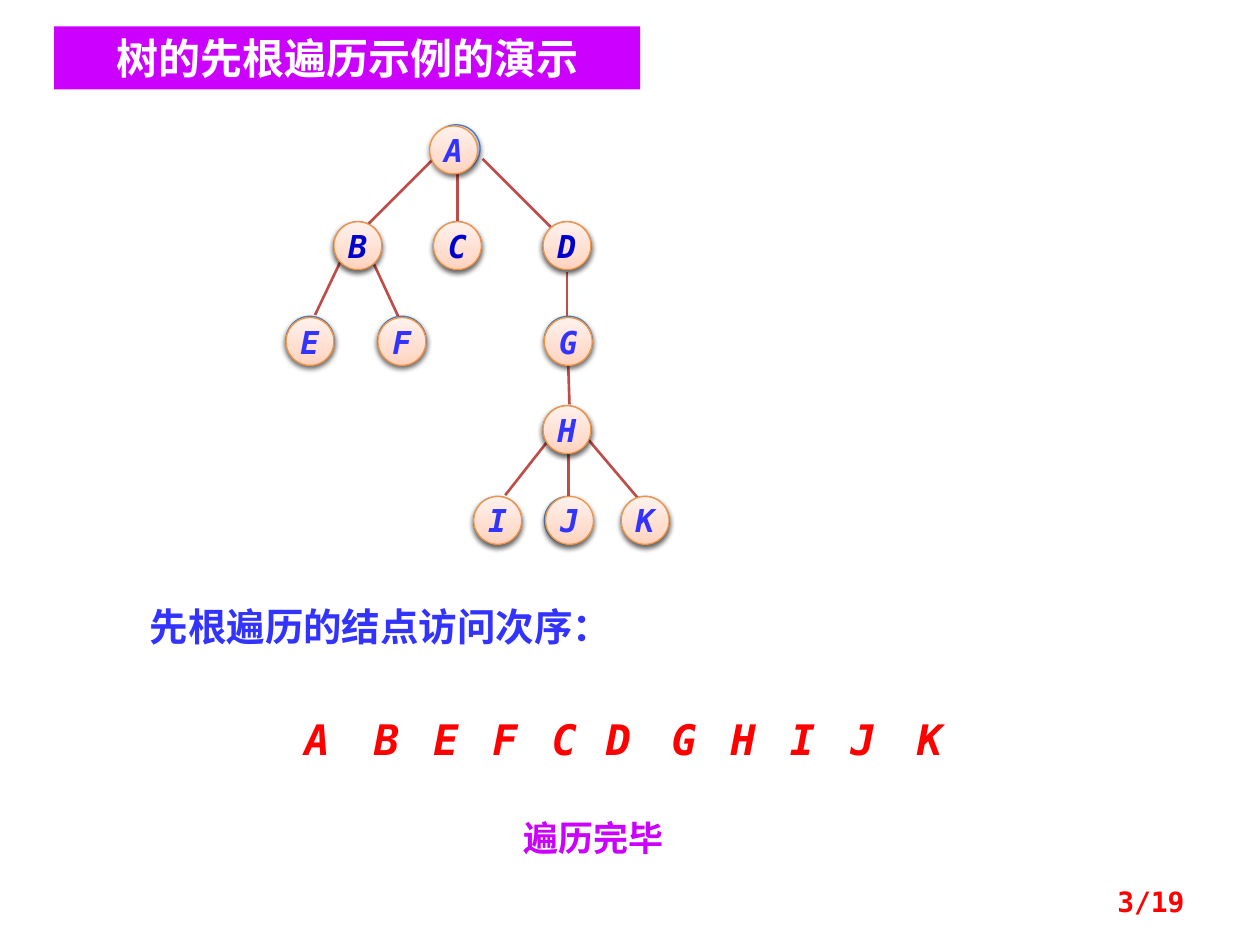
from lxml import etree
from pptx import Presentation
from pptx.dml.color import RGBColor
from pptx.enum.shapes import MSO_CONNECTOR, MSO_SHAPE
from pptx.enum.text import MSO_ANCHOR, PP_ALIGN
from pptx.oxml.ns import qn
from pptx.util import Inches, Pt

CIRCLE, BAR = MSO_SHAPE.OVAL, MSO_SHAPE.RECTANGLE
STRAIGHT = MSO_CONNECTOR.STRAIGHT
LEFT, CENTER, RIGHT = PP_ALIGN.LEFT, PP_ALIGN.CENTER, PP_ALIGN.RIGHT
TOP, MIDDLE = MSO_ANCHOR.TOP, MSO_ANCHOR.MIDDLE

COLUMNS, ROWS = 100, 75  # square grid cells over the slide
CELL = Inches(10) / COLUMNS
MONO, SERIF = "DejaVu Sans Mono", "Times New Roman"
COLORS = {
    "title": "FFFFFF", "accent": "CC00FF", "edge": "BF4C48",
    "label": "3333FF", "child": "0000CC", "order": "FF0000", "shadow": "000000",
}
UNVISITED = {"line": "4B7EBC", "stops": ("A4C4FF", "BFD4FF", "E6EEFF")}
VISITED = {"line": "F69240", "stops": ("FFD2BD", "FFDED0", "FFF2ED")}
STOP_POSITIONS = (0, 35, 100)

NODE_SIZE = 3.8
# Columns and rows within the tree's box
LEVEL_ROWS = (0.9, 8.6, 16.1, 23.2, 30.4)
LEVELS = (
    {"A": 12.3},
    {"B": 4.5, "C": 12.4, "D": 21.1},
    {"E": 0.7, "F": 8, "G": 21.2},
    {"H": 21.1},
    {"J": 21.2, "I": 15.6, "K": 27.3},
)
VISITED_SHIFT = {"A": (-0.2, 0.1), "E": (0, 0.1), "F": (0, 0.1),
                 "G": (0, 0.1), "J": (0.1, 0)}
EDGES = {
    "HK": (24.7, 25.9, 28.6, 30.5), "HJ": (23.1, 27, 23.1, 30.4),
    "HI": (21.4, 26.1, 18.1, 30.3), "GH": (23.1, 20, 23.2, 23.1),
    "DG": (23, 12.6, 23, 16.1), "BF": (7.7, 12, 9.6, 16.1),
    "BE": (5, 11.8, 3, 16), "AD": (16.3, 3.6, 21.7, 9),
    "AC": (14.3, 4.7, 14.3, 8.6), "AB": (12.5, 3.5, 7.2, 8.8),
}
# Preorder, with columns within the order's box
PREORDER = {"A": 0, "B": 5.5, "E": 10.2, "F": 14.9, "C": 19.6, "D": 23.9,
            "G": 29.1, "H": 33.8, "I": 38.5, "J": 43.3, "K": 48.6}


def cells(*lengths):
    return [round(length * CELL) for length in lengths]


def write(shape, text, size, color, font=MONO, bold=True, italic=False,
          align=LEFT, anchor=TOP, wrap=True):
    frame = shape.text_frame
    frame.word_wrap = wrap
    frame.vertical_anchor = anchor
    paragraph = frame.paragraphs[0]
    paragraph.alignment = align
    run = paragraph.add_run()
    run.text = text
    run.font.size, run.font.name = Pt(size), font
    run.font.bold, run.font.italic = bold, italic
    run.font.color.rgb = RGBColor.from_string(color)


def add_text(slide, box, text, **text_format):
    write(slide.shapes.add_textbox(*cells(*box)), text, **text_format)


def add_color(parent, color):
    return etree.SubElement(parent, qn("a:srgbClr"), val=color)


def add_gradient(shape, stops):
    """Fill from bottom to top through the three stop colours."""
    shape.fill.gradient()
    shape.fill.gradient_angle = 90
    stop_list = shape.element.spPr.find(".//" + qn("a:gsLst"))
    for stop in list(stop_list):
        stop_list.remove(stop)
    for position, color in zip(STOP_POSITIONS, stops):
        add_color(etree.SubElement(stop_list, qn("a:gs"), pos=str(position * 1000)), color)


def add_soft_shadow(shape):
    shape.shadow.inherit = False
    effects = shape.element.spPr.find(qn("a:effectLst"))
    shadow = etree.SubElement(effects, qn("a:outerShdw"), blurRad="40000",
                              dist="20000", dir="5400000", rotWithShape="0")
    etree.SubElement(add_color(shadow, COLORS["shadow"]), qn("a:alpha"), val="38000")


def add_node(slide, letter, left, top, style, color):
    node = slide.shapes.add_shape(CIRCLE, *cells(left, top, NODE_SIZE, NODE_SIZE))
    add_gradient(node, style["stops"])
    node.line.color.rgb = RGBColor.from_string(style["line"])
    node.line.width = Pt(0.75)
    add_soft_shadow(node)
    write(node, letter, size=18, color=color, italic=True,
          align=CENTER, anchor=MIDDLE, wrap=False)


def add_edge(slide, *ends):
    edge = slide.shapes.add_connector(STRAIGHT, *cells(*ends))
    edge.line.color.rgb = RGBColor.from_string(COLORS["edge"])
    edge.line.width = Pt(1.5)
    etree.SubElement(edge.element.spPr, qn("a:effectLst"))


def add_tree(slide, left, top):
    """Draw edges, then the unvisited nodes, then the visited ones over them."""
    for x1, y1, x2, y2 in EDGES.values():
        add_edge(slide, left + x1, top + y1, left + x2, top + y2)
    for style in (UNVISITED, VISITED):
        for depth, (row, level) in enumerate(zip(LEVEL_ROWS, LEVELS)):
            marked = style is VISITED and depth == 1
            color = COLORS["child" if marked else "label"]
            for letter, column in level.items():
                dx, dy = VISITED_SHIFT.get(letter, (0, 0)) if style is VISITED else (0, 0)
                add_node(slide, letter, left + column + dx, top + row + dy, style, color)


def add_visit_order(slide, left, top):
    for letter, column in PREORDER.items():
        add_text(slide, (left + column, top, 3.9, 5.1), letter, size=24,
                 color=COLORS["order"], italic=True, wrap=False)


def add_title(slide, box, text):
    bar = slide.shapes.add_shape(BAR, *cells(*box))
    bar.shadow.inherit = False
    bar.fill.solid()
    bar.fill.fore_color.rgb = RGBColor.from_string(COLORS["accent"])
    bar.line.fill.background()
    write(bar, text, size=24, color=COLORS["title"], font=SERIF, align=CENTER)


def main():
    deck = Presentation()
    deck.slide_width, deck.slide_height = cells(COLUMNS, ROWS)
    slide = deck.slides.add_slide(deck.slide_layouts[6])
    add_tree(slide, 22, 9)
    add_text(slide, (10.9, 47.4, 53.1, 4.7), "先根遍历的结点访问次序：",
             size=22, color=COLORS["label"])
    add_visit_order(slide, 23.2, 56.1)
    add_text(slide, (36.1, 64.3, 22, 4.4), "遍历完毕",
             size=20, color=COLORS["accent"], align=CENTER)
    add_title(slide, (4.3, 2.1, 46.5, 5), "树的先根遍历示例的演示")
    add_text(slide, (71.7, 69.5, 23.3, 4), "3/19", size=16,
             color=COLORS["order"], align=RIGHT, anchor=MIDDLE)
    deck.save("out.pptx")


if __name__ == "__main__":
    main()
